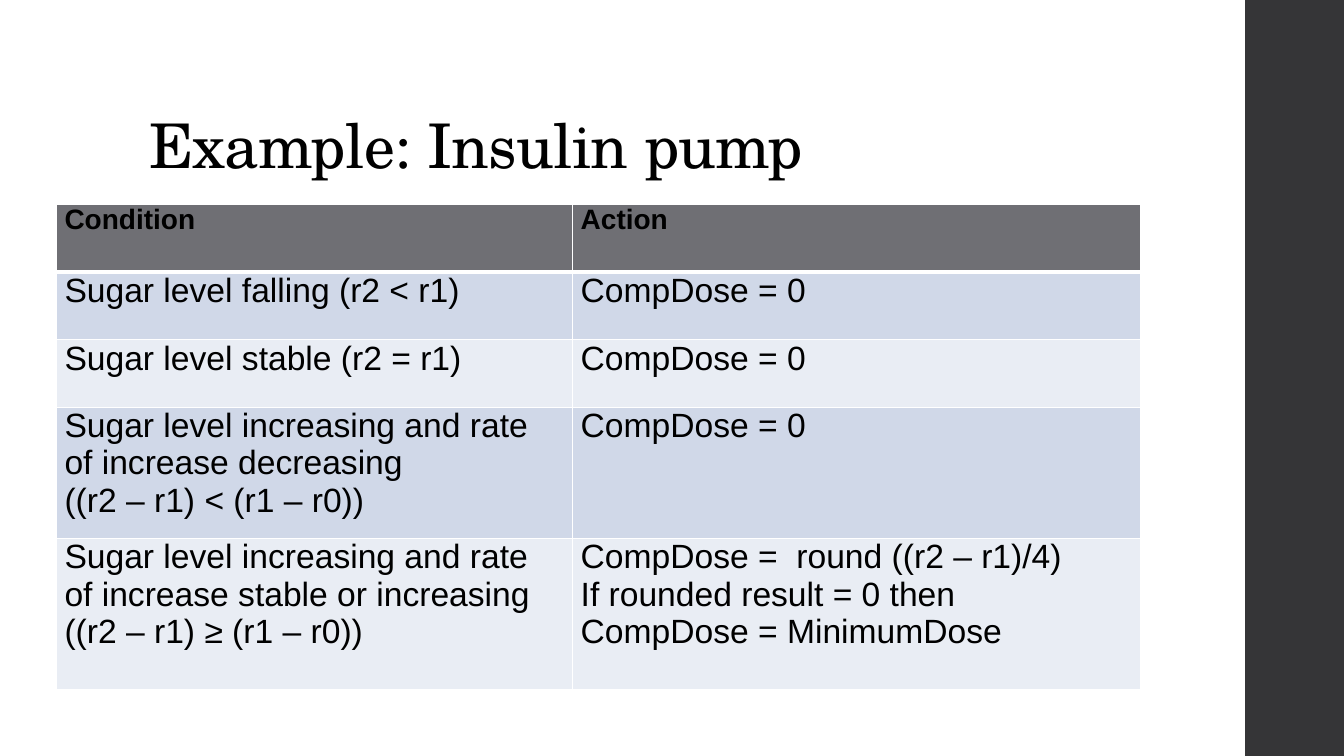
"""Build the insulin pump slide: a title, a side band and a condition table."""
from lxml.etree import SubElement
from pptx import Presentation
from pptx.dml.color import RGBColor
from pptx.enum.shapes import MSO_SHAPE
from pptx.enum.text import MSO_ANCHOR, PP_ALIGN
from pptx.oxml.ns import qn
from pptx.util import Inches, Pt

TITLE = "Example: Insulin pump"
ROWS = [
    ("Condition", "Action"),
    ("Sugar level falling (r2 < r1)", "CompDose = 0"),
    ("Sugar level stable (r2 = r1)", "CompDose = 0"),
    ("Sugar level increasing and rate of increase decreasing\v((r2 – r1) < (r1 – r0))",
     "CompDose = 0"),
    ("Sugar level increasing and rate of increase stable or increasing\v((r2 – r1) ≥ (r1 – r0))",
     "CompDose =  round ((r2 – r1)/4)\nIf rounded result = 0 then\nCompDose = MinimumDose"),
]
COLS = (5.12, 5.63)
TALL = (0.67, 0.67, 0.67, 1.16, 1.5)
HUES = {"ink": "000000", "band": "353537", "head": "6F6F74",
        "odd": "D0D8E8", "even": "E9EDF4", "rule": "FFFFFF"}
WIDE, HIGH = 13.33, 7.5


def hue(name):
    return RGBColor.from_string(HUES[name])


def write(frame, text, size, font="Arial", bold=False, align=PP_ALIGN.LEFT, lead=None, track=None):
    frame.word_wrap = True
    frame.text = text
    for para in frame.paragraphs:
        para.alignment = align
        if lead:
            para.line_spacing = lead
        for run in para.runs:
            run.font.name, run.font.size, run.font.bold = font, Pt(size), bold
            run.font.color.rgb = hue("ink")
            if track:
                run.font._element.set("spc", str(int(track * 100)))


def edge(cell, **sides):
    props = cell._tc.get_or_add_tcPr()
    for spot, (side, width) in enumerate(sides.items()):
        line = SubElement(props, qn(f"a:ln{side}"), w=str(Pt(width)))
        fill = SubElement(line, qn("a:solidFill"))
        SubElement(fill, qn("a:srgbClr"), val=HUES["rule"])
        props.remove(line)
        props.insert(spot, line)


def add_band(slide):
    left = 12.35
    band = slide.shapes.add_shape(MSO_SHAPE.RECTANGLE, Inches(left), 0,
                                  Inches(WIDE - left), Inches(HIGH))
    band.shadow.inherit = False
    band.fill.solid()
    band.fill.fore_color.rgb = hue("band")
    band.line.fill.background()


def add_title(slide):
    box = slide.shapes.add_textbox(Inches(1.38), Inches(0.4), Inches(10.6), Inches(1.45))
    box.text_frame.vertical_anchor = MSO_ANCHOR.BOTTOM
    write(box.text_frame, TITLE, 44, font="TeX Gyre Schola", lead=0.9, track=-0.5)


def add_grid(slide):
    grid = slide.shapes.add_table(len(ROWS), len(COLS), Inches(0.56), Inches(2.03),
                                  Inches(sum(COLS)), Inches(sum(TALL))).table
    for col, width in zip(grid.columns, COLS):
        col.width = Inches(width)
    for row, (line, height) in enumerate(zip(ROWS, TALL)):
        grid.rows[row].height = Inches(height)
        head = row == 0
        tint = "head" if head else "odd" if row % 2 else "even"
        for col, text in enumerate(line):
            cell = grid.cell(row, col)
            cell.margin_left = cell.margin_right = Inches(0.08)
            cell.margin_top, cell.margin_bottom = 0, Inches(0.1)
            cell.fill.solid()
            cell.fill.fore_color.rgb = hue(tint)
            edge(cell, L=1, R=1, T=3 if row == 1 else 1, B=3 if head else 1)
            write(cell.text_frame, text, 20 if head else 24, bold=head,
                  align=PP_ALIGN.JUSTIFY if head else PP_ALIGN.LEFT)


def main():
    deck = Presentation()
    deck.slide_width, deck.slide_height = Inches(WIDE), Inches(HIGH)
    slide = deck.slides.add_slide(deck.slide_layouts[6])
    add_band(slide)
    add_title(slide)
    add_grid(slide)
    deck.save("out.pptx")


if __name__ == "__main__":
    main()
